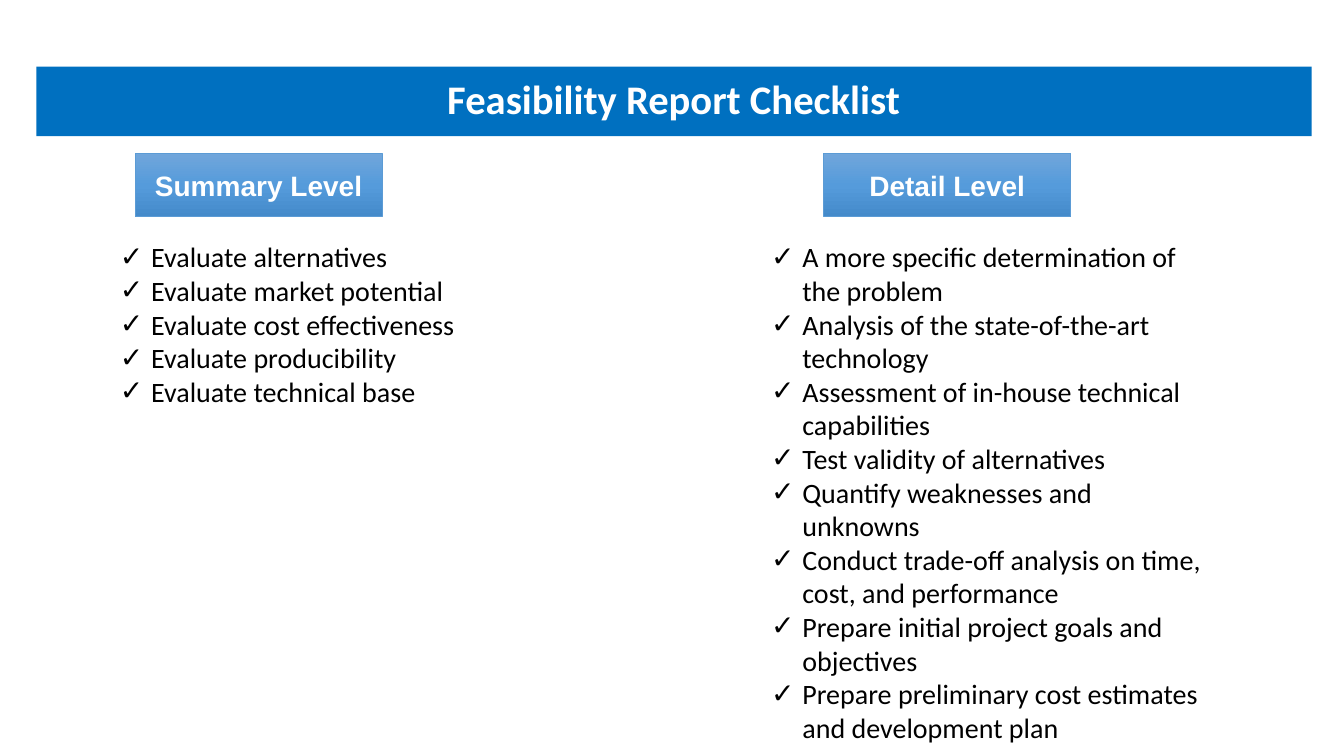
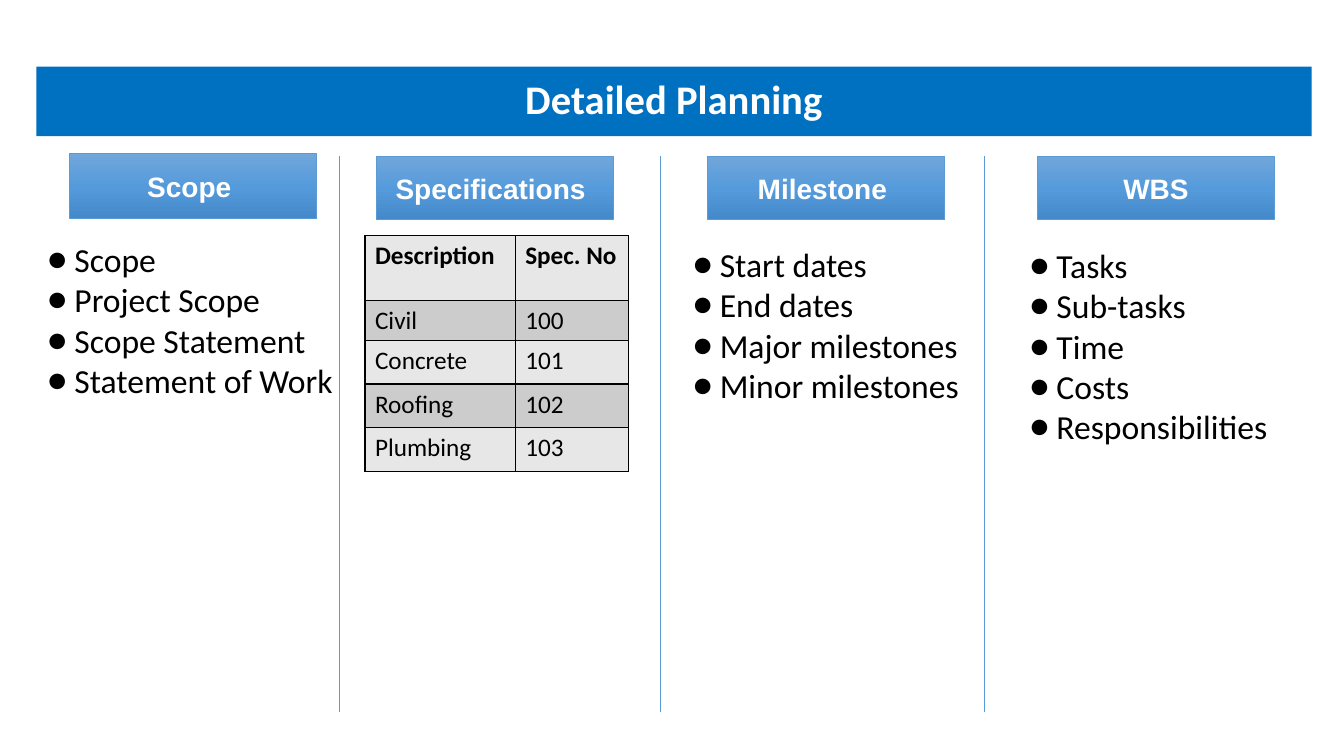
from copy import deepcopy

from lxml import etree
from pptx import Presentation
from pptx.dml.color import RGBColor
from pptx.enum.shapes import MSO_CONNECTOR, MSO_SHAPE
from pptx.enum.text import MSO_ANCHOR, MSO_AUTO_SIZE, PP_ALIGN
from pptx.oxml.ns import qn
from pptx.util import Inches, Pt

WHITE = RGBColor(0xFF, 0xFF, 0xFF)
BLACK = RGBColor(0x00, 0x00, 0x00)
TITLE_BLUE = RGBColor(0x00, 0x70, 0xC0)
LINE_BLUE = RGBColor(0x5B, 0x9B, 0xD5)
HEADING_TOP = RGBColor(0x71, 0xA6, 0xDB)
HEADING_MIDDLE = RGBColor(0x55, 0x9B, 0xDB)
HEADING_BOTTOM = RGBColor(0x44, 0x8A, 0xCA)
ROW_LIGHT = RGBColor(0xE7, 0xE7, 0xE7)
ROW_DARK = RGBColor(0xCC, 0xCC, 0xCC)

BODY_FONT = "Calibri"
HEADING_FONT = "Arial"
RECTANGLE = MSO_SHAPE.RECTANGLE
STRAIGHT = MSO_CONNECTOR.STRAIGHT
CENTER = PP_ALIGN.CENTER
MIDDLE = MSO_ANCHOR.MIDDLE
NO_FIT = MSO_AUTO_SIZE.NONE
GROW = MSO_AUTO_SIZE.SHAPE_TO_FIT_TEXT
TITLE_ONLY = 5


def place(shape, left, top, width, height):
    shape.left, shape.top = Inches(left), Inches(top)
    shape.width, shape.height = Inches(width), Inches(height)


def set_font(para, name, size, color, bold=False):
    font = para.font
    font.name, font.size, font.bold = name, Pt(size), bold
    font.color.rgb = color


def set_bullet(para, mark, indent):
    """Give the paragraph a hanging bullet; indent is in inches."""
    properties = para._p.get_or_add_pPr()
    properties.set("marL", str(Inches(indent)))
    properties.set("indent", str(-Inches(indent)))
    etree.SubElement(properties, qn("a:buFont"), typeface=BODY_FONT)
    etree.SubElement(properties, qn("a:buChar"), char=mark)


def set_borders(cell, color, points):
    properties = cell._tc.get_or_add_tcPr()
    for index, side in enumerate(("lnL", "lnR", "lnT", "lnB")):
        line = etree.Element(qn(f"a:{side}"), w=str(Pt(points)))
        fill = etree.SubElement(line, qn("a:solidFill"))
        etree.SubElement(fill, qn("a:srgbClr"), val=str(color))
        properties.insert(index, line)


class PlanningDeck:
    """Holds the shared style and the page being filled."""

    def __init__(self):
        self.deck = Presentation()
        self.deck.slide_width = Inches(13.33)
        self.deck.slide_height = Inches(7.5)
        self.page = None

    def add_page(self, title):
        self.page = self.deck.slides.add_slide(self.deck.slide_layouts[TITLE_ONLY])
        band = self.page.shapes.title
        place(band, 0.36, 0.66, 12.65, 0.69)
        band.fill.solid()
        band.fill.fore_color.rgb = TITLE_BLUE
        frame = band.text_frame
        frame.text = title
        frame.auto_size = NO_FIT
        frame.vertical_anchor = MIDDLE
        para = frame.paragraphs[0]
        para.alignment = CENTER
        para.line_spacing = 0.9
        set_font(para, BODY_FONT, 29, WHITE, bold=True)

    def add_heading(self, text, left, top, width, height=0.63):
        box = self.page.shapes.add_shape(
            RECTANGLE, Inches(left), Inches(top), Inches(width), Inches(height))
        box.shadow.inherit = False
        box.line.color.rgb = LINE_BLUE
        box.line.width = Pt(0.5)
        self.fill_heading(box)
        frame = box.text_frame
        frame.text = text
        frame.vertical_anchor = MIDDLE
        para = frame.paragraphs[0]
        para.alignment = CENTER
        set_font(para, HEADING_FONT, 20, WHITE, bold=True)

    def fill_heading(self, box):
        """Fill from top to bottom with three evenly spaced colours."""
        fill = box.fill
        fill.gradient()
        fill.gradient_angle = 270
        stop_list = box._element.spPr.find(qn("a:gradFill")).find(qn("a:gsLst"))
        stop_list.insert(1, deepcopy(stop_list[0]))
        colors = (HEADING_TOP, HEADING_MIDDLE, HEADING_BOTTOM)
        for index, (stop, color) in enumerate(zip(fill.gradient_stops, colors)):
            stop.position = index / 2
            stop.color.rgb = color

    def add_list(self, items, left, top, width, height, mark="●", indent=0.27, size=24):
        box = self.page.shapes.add_textbox(
            Inches(left), Inches(top), Inches(width), Inches(height))
        frame = box.text_frame
        frame.word_wrap = True
        frame.auto_size = GROW
        frame.text = "\n".join(items)
        for para in frame.paragraphs:
            set_font(para, BODY_FONT, size, BLACK)
            set_bullet(para, mark, indent)

    def add_checklist(self, items, left, width, height):
        self.add_list(items, left, 2.33, width, height, mark="✓", indent=0.31, size=20)

    def add_divider(self, x):
        line = self.page.shapes.add_connector(
            STRAIGHT, Inches(x), Inches(1.55), Inches(x), Inches(7.06))
        line.line.color.rgb = LINE_BLUE
        line.line.width = Pt(0.5)
        etree.SubElement(line._element.spPr, qn("a:effectLst"))

    def add_table(self, rows, left, top, widths, heights):
        table = self.page.shapes.add_table(
            len(rows), len(widths), Inches(left), Inches(top),
            Inches(sum(widths)), Inches(sum(heights))).table
        table.horz_banding = False
        for column, width in zip(table.columns, widths):
            column.width = Inches(width)
        for index, (row, height, values) in enumerate(zip(table.rows, heights, rows)):
            row.height = Inches(height)
            for cell, value in zip(row.cells, values):
                cell.text = value
                set_font(cell.text_frame.paragraphs[0], BODY_FONT, 18, BLACK,
                         bold=index == 0)
                cell.fill.solid()
                cell.fill.fore_color.rgb = ROW_DARK if index % 2 else ROW_LIGHT
                set_borders(cell, BLACK, 1)


def build_checklist(slides):
    slides.add_page("Feasibility Report Checklist")
    slides.add_heading("Summary Level", 1.34, 1.52, 2.45)
    slides.add_checklist([
        "Evaluate alternatives",
        "Evaluate market potential",
        "Evaluate cost effectiveness",
        "Evaluate producibility",
        "Evaluate technical base",
    ], 1.09, 4.07, 1.78)
    slides.add_heading("Detail Level", 8.17, 1.52, 2.45)
    slides.add_checklist([
        "A more specific determination of the problem",
        "Analysis of the state-of-the-art technology",
        "Assessment of in-house technical capabilities",
        "Test validity of alternatives",
        "Quantify weaknesses and unknowns",
        "Conduct trade-off analysis on time, cost, and performance",
        "Prepare initial project goals and objectives",
        "Prepare preliminary cost estimates and development plan",
    ], 7.55, 4.5, 5.15)


def build_planning(slides):
    slides.add_page("Detailed Planning")
    slides.add_heading("Scope ", 0.69, 1.52, 2.45, 0.65)
    for text, left in (("Specifications ", 3.73), ("Milestone ", 7.02), ("WBS", 10.29)):
        slides.add_heading(text, left, 1.55, 2.35)
    for x in (3.37, 6.55, 9.76):
        slides.add_divider(x)
    slides.add_list(
        ["Scope", "Project Scope", "Scope Statement", "Statement of Work"],
        0.37, 2.32, 3.3, 1.72)
    slides.add_table([
        ("Description", "Spec. No"),
        ("Civil", "100"),
        ("Concrete", "101"),
        ("Roofing", "102"),
        ("Plumbing", "103"),
    ], 3.62, 2.34, (1.49, 1.12), (0.64, 0.4, 0.43, 0.43, 0.44))
    slides.add_list(
        ["Start dates", "End dates", "Major milestones", "Minor milestones"],
        6.77, 2.37, 2.95, 1.72)
    slides.add_list(
        ["Tasks", "Sub-tasks", "Time", "Costs", "Responsibilities"],
        10.11, 2.38, 2.95, 2.12)


def main():
    slides = PlanningDeck()
    build_checklist(slides)
    build_planning(slides)
    slides.deck.save("out.pptx")


if __name__ == "__main__":
    main()
